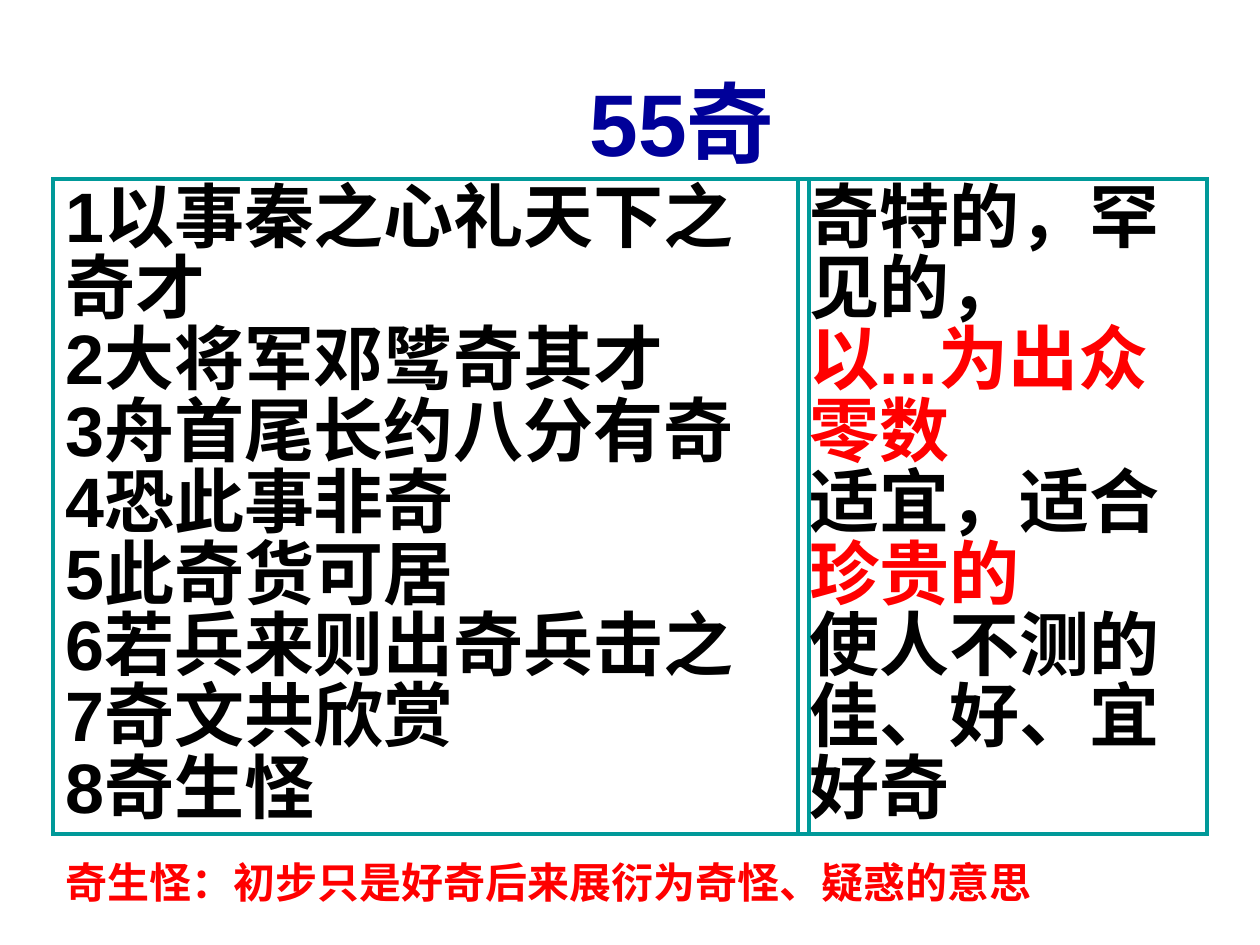
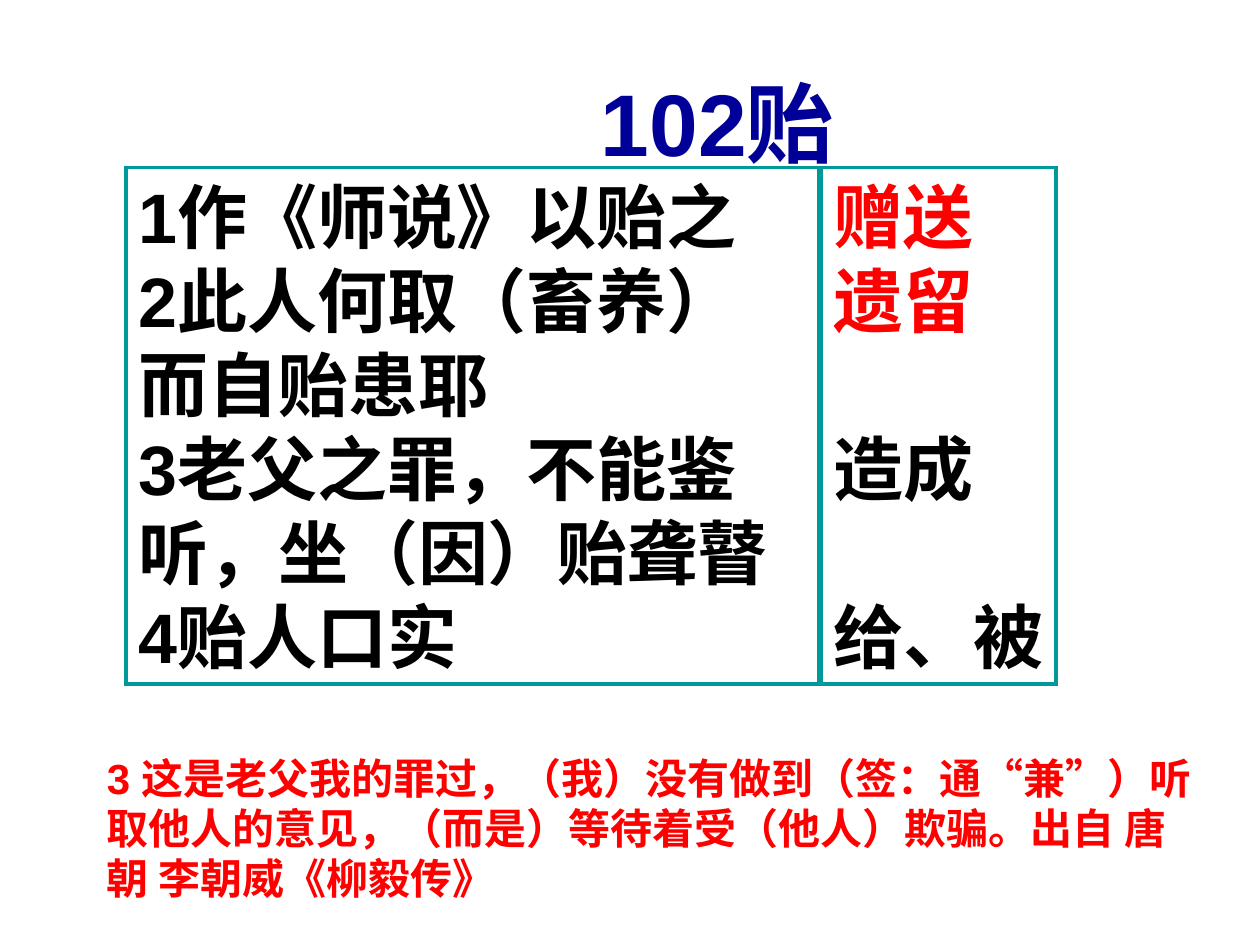
"""Builds two vocabulary slides: example sentences beside the meanings of one character."""
import lxml.etree
import pptx
import pptx.dml.color
import pptx.enum.shapes
import pptx.enum.text
import pptx.oxml.ns
import pptx.util

Inches = pptx.util.Inches
Pt = pptx.util.Pt
qn = pptx.oxml.ns.qn

FONT = "Arial"
NAVY, TEAL, RED, BLACK = "000099", "009999", "FF0000", "000000"
TITLE_SIZE, BODY_SIZE, NOTE_SIZE = 50, 40, 24
LINE_PITCH = 48
INSET = 0.1

SLIDES = [
    {
        "title": ("55奇", (4.58, 0.5, 3.37, 0.94)),
        "examples": (["1以事秦之心礼天下之奇才", "2大将军邓骘奇其才", "3舟首尾长约八分有奇",
                      "4恐此事非奇", "5此奇货可居", "6若兵来则出奇兵击之",
                      "7奇文共欣赏", "8奇生怪"], (0.42, 1.42, 6, 5.2)),
        "meanings": ([("奇特的，罕见的，", BLACK, 0), ("以...为出众", RED, 0),
                      ("零数", RED, 0), ("适宜，适合", BLACK, 0),
                      ("珍贵的", RED, 0), ("使人不测的", BLACK, 0),
                      ("佳、好、宜", BLACK, 0), ("好奇", BLACK, 0)],
                     (6.33, 1.42, 3.25, 5.2)),
        "note": ("奇生怪：初步只是好奇后来展衍为奇怪、疑惑的意思", (0.42, 6.75, 8.33, 0.5)),
        "spacing": 0.85,
        "meanings_inset": INSET,
    },
    {
        "title": ("102贻", (4.67, 0.5, 3.33, 0.94)),
        "examples": (["1作《师说》以贻之", "2此人何取（畜养）而自贻患耶",
                      "3老父之罪，不能鉴听，坐（因）贻聋瞽", "4贻人口实"],
                     (1, 1.33, 5.5, 4.1)),
        "meanings": ([("赠送", RED, 0), ("遗留", RED, 0), ("造成", BLACK, 1),
                      ("给、被", BLACK, 1)], (6.52, 1.33, 1.86, 4.1)),
        "note": ("3 这是老父我的罪过，（我）没有做到（签：通“兼”）听取他人的意见，"
                 "（而是）等待着受（他人）欺骗。出自 唐朝 李朝威《柳毅传》",
                 (0.75, 5.92, 8.83, 1.3)),
        "spacing": None,
        "meanings_inset": 0,
    },
]


def rgb(value):
    return pptx.dml.color.RGBColor.from_string(value)


def write(sp, lines, size, spacing=None, right_inset=INSET):
    tf = sp.text_frame
    tf.word_wrap = True
    tf.margin_right = Inches(right_inset)
    tf.auto_size = pptx.enum.text.MSO_AUTO_SIZE.SHAPE_TO_FIT_TEXT
    tf.vertical_anchor = pptx.enum.text.MSO_ANCHOR.TOP
    for i, (text, colour, skipped_lines) in enumerate(lines):
        p = tf.add_paragraph() if i else tf.paragraphs[0]
        p.text = text
        p.alignment = pptx.enum.text.PP_ALIGN.LEFT
        if spacing:
            p.line_spacing = spacing
        if skipped_lines:
            p.space_before = Pt(skipped_lines * LINE_PITCH)
        p.font.name, p.font.size, p.font.bold = FONT, Pt(size), True
        p.font.color.rgb = rgb(colour)


def add_text(s, content, colour, size):
    text, box = content
    write(s.shapes.add_textbox(*map(Inches, box)), [(text, colour, 0)], size)


def add_panel(s, lines, box, spacing, right_inset=INSET):
    sp = s.shapes.add_shape(pptx.enum.shapes.MSO_SHAPE.RECTANGLE, *map(Inches, box))
    sp.shadow.inherit = False
    sp.fill.background()
    sp.line.color.rgb = rgb(TEAL)
    sp.line.width = Pt(2.25)
    ln = sp.element.spPr.find(qn("a:ln"))
    lxml.etree.SubElement(ln, qn("a:miter"), lim="800000")
    write(sp, lines, BODY_SIZE, spacing, right_inset)


def main():
    prs = pptx.Presentation()
    prs.slide_width, prs.slide_height = Inches(10), Inches(7.5)
    for page in SLIDES:
        s = prs.slides.add_slide(prs.slide_layouts[6])
        examples, box = page["examples"]
        add_panel(s, [(text, BLACK, 0) for text in examples], box, page["spacing"])
        add_panel(s, *page["meanings"], page["spacing"], page["meanings_inset"])
        add_text(s, page["title"], NAVY, TITLE_SIZE)
        add_text(s, page["note"], RED, NOTE_SIZE)
    prs.save("out.pptx")


if __name__ == "__main__":
    main()
